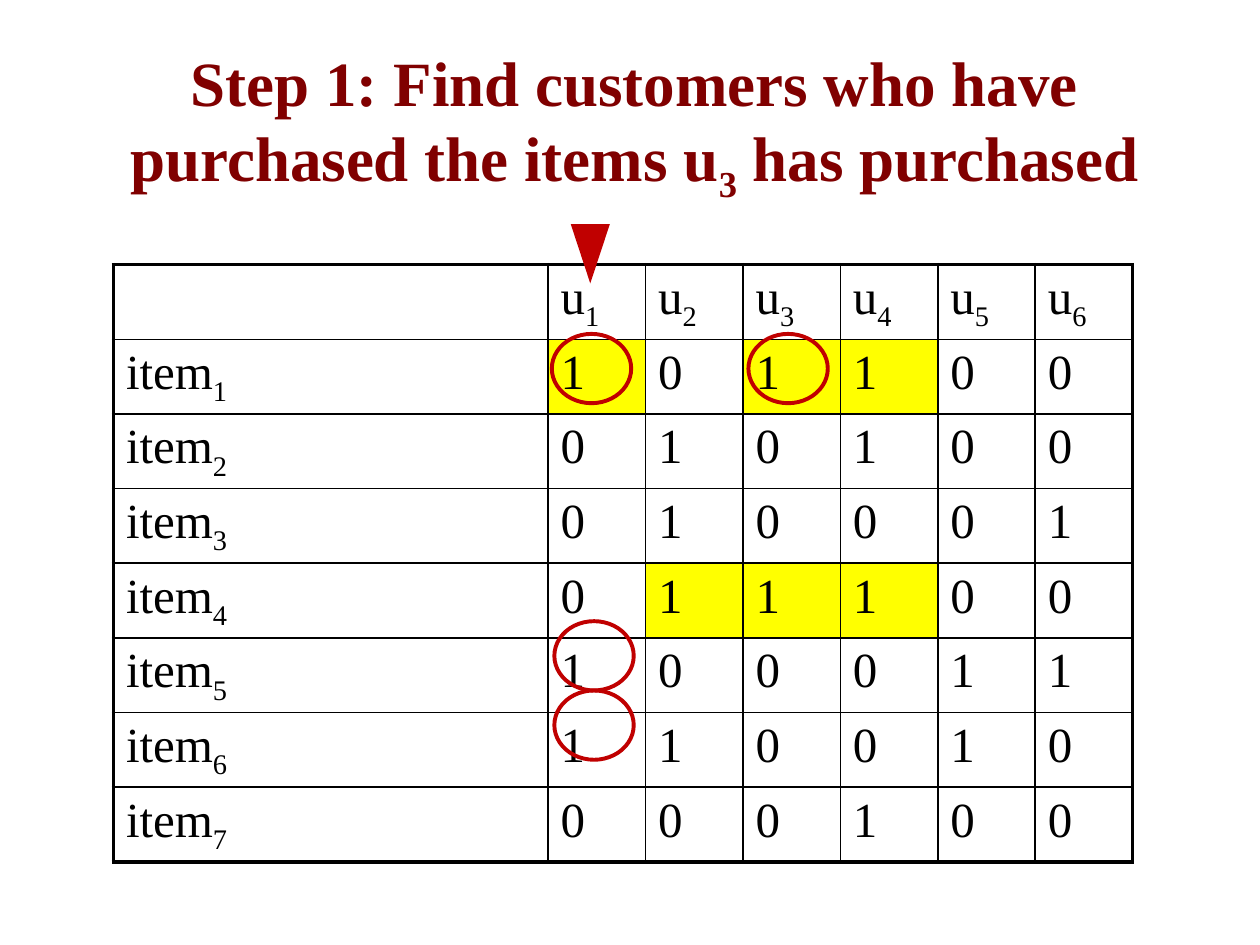
from collections import namedtuple
from dataclasses import dataclass

from pptx import Presentation
from pptx.dml.color import RGBColor
from pptx.enum import shapes, text
from pptx.oxml import ns, xmlchemy
from pptx.util import Inches, Pt

Box = namedtuple("Box", "left top width height")


@dataclass(frozen=True)
class Theme:
    """Colours, font and sizes of the slide."""
    font: str = "Times New Roman"
    title: str = "800000"
    ink: str = "000000"
    mark: str = "C00000"
    highlight: str = "FFFF00"
    title_size: float = 36
    cell_size: float = 28
    thin: float = 1
    thick: float = 2.25


THEME = Theme()
PURCHASES = ["101100", "010100", "010001", "011100", "100011", "110010", "000100"]
HIGHLIGHTED = {(1, 1), (1, 3), (1, 4), (4, 2), (4, 3), (4, 4)}
CIRCLES = [(3.48, 0.55), (5.04, 0.55), (3.5, 2.83), (3.5, 3.38)]


def inches(box):
    """Convert a box to lengths."""
    return [Inches(value) for value in box]


def write(para, parts, size, color, bold=False):
    """Write parts into a paragraph, lowering every second one."""
    for index, part in enumerate(parts):
        span = para.add_run()
        span.text = part
        span.font.name = THEME.font
        span.font.size = Pt(size)
        span.font.bold = bold
        span.font.color.rgb = RGBColor.from_string(color)
        if index % 2:
            span.font._element.set("baseline", "-25000")


def add_title(page, box, parts):
    """Place and fill the title placeholder."""
    title = page.shapes.title
    title.left, title.top, title.width, title.height = inches(box)
    frame = title.text_frame
    frame.word_wrap = True
    frame.auto_size = text.MSO_AUTO_SIZE.NONE
    frame.vertical_anchor = text.MSO_ANCHOR.MIDDLE
    para = frame.paragraphs[0]
    para.alignment = text.PP_ALIGN.CENTER
    write(para, parts, THEME.title_size, THEME.title, bold=True)


def add_border(cell, side, width):
    """Draw one side of a cell."""
    line = xmlchemy.OxmlElement(f"a:ln{side}")
    line.set("w", str(Pt(width)))
    fill = xmlchemy.OxmlElement("a:solidFill")
    color = xmlchemy.OxmlElement("a:srgbClr")
    color.set("val", THEME.ink)
    fill.append(color)
    line.append(fill)
    cell._tc.get_or_add_tcPr().append(line)


def space_before(para, percent):
    """Set paragraph spacing as a share of the line."""
    spacing = xmlchemy.OxmlElement("a:spcBef")
    share = xmlchemy.OxmlElement("a:spcPct")
    share.set("val", str(percent * 1000))
    spacing.append(share)
    para._p.get_or_add_pPr().append(spacing)


def add_grid(page, box, name_width):
    """Build the table of purchases by item and customer."""
    customers = range(1, len(PURCHASES[0]) + 1)
    rows = [[[]] + [["u", str(number)] for number in customers]]
    for number, values in enumerate(PURCHASES, 1):
        rows.append([["item", str(number)]] + [[value] for value in values])
    last_row, last_column = len(rows) - 1, len(customers)
    table = page.shapes.add_table(len(rows), last_column + 1, *inches(box)).table
    table.first_row = table.horz_banding = False
    for index, column in enumerate(table.columns):
        column.width = Inches((box.width - name_width) / last_column if index else name_width)
    for r, row in enumerate(rows):
        for c, parts in enumerate(row):
            cell = table.cell(r, c)
            outer = {"L": c == 0, "R": c == last_column, "T": r == 0, "B": r == last_row}
            for side, is_outer in outer.items():
                add_border(cell, side, THEME.thick if is_outer else THEME.thin)
            if (r, c) in HIGHLIGHTED:
                cell.fill.solid()
                cell.fill.fore_color.rgb = RGBColor.from_string(THEME.highlight)
            else:
                cell.fill.background()
            para = cell.text_frame.paragraphs[0]
            space_before(para, 20)
            write(para, parts, THEME.cell_size, THEME.ink)


def add_marks(page, box):
    """Point at the first customer and circle the matching purchases."""
    color = RGBColor.from_string(THEME.mark)
    pointer = page.shapes.add_shape(
        shapes.MSO_SHAPE.ISOSCELES_TRIANGLE,
        *inches((box.left + 3.63, box.top - 0.32, 0.31, 0.47)))
    pointer.shadow.inherit = False
    pointer.fill.solid()
    pointer.fill.fore_color.rgb = color
    pointer.line.fill.background()
    pointer._element.spPr.find(ns.qn("a:xfrm")).set("flipV", "1")
    for left, top in CIRCLES:
        circle = page.shapes.add_shape(
            shapes.MSO_SHAPE.OVAL, *inches((box.left + left, box.top + top, 0.63, 0.55)))
        circle.shadow.inherit = False
        circle.fill.background()
        circle.line.color.rgb = color
        circle.line.width = Pt(THEME.thick)


def main():
    """Build and save the deck."""
    deck = Presentation()
    deck.slide_width, deck.slide_height = Inches(10), Inches(7.5)
    page = deck.slides.add_slide(deck.slide_layouts[5])
    add_title(page, Box(0.27, 0.36, 9.53, 1.25),
              ["Step 1: Find customers who have purchased the items u", "3", " has purchased"])
    grid = Box(0.9, 2.1, 8.09, 4.55)
    add_grid(page, grid, name_width=3.45)
    add_marks(page, grid)
    deck.save("out.pptx")


if __name__ == "__main__":
    main()
